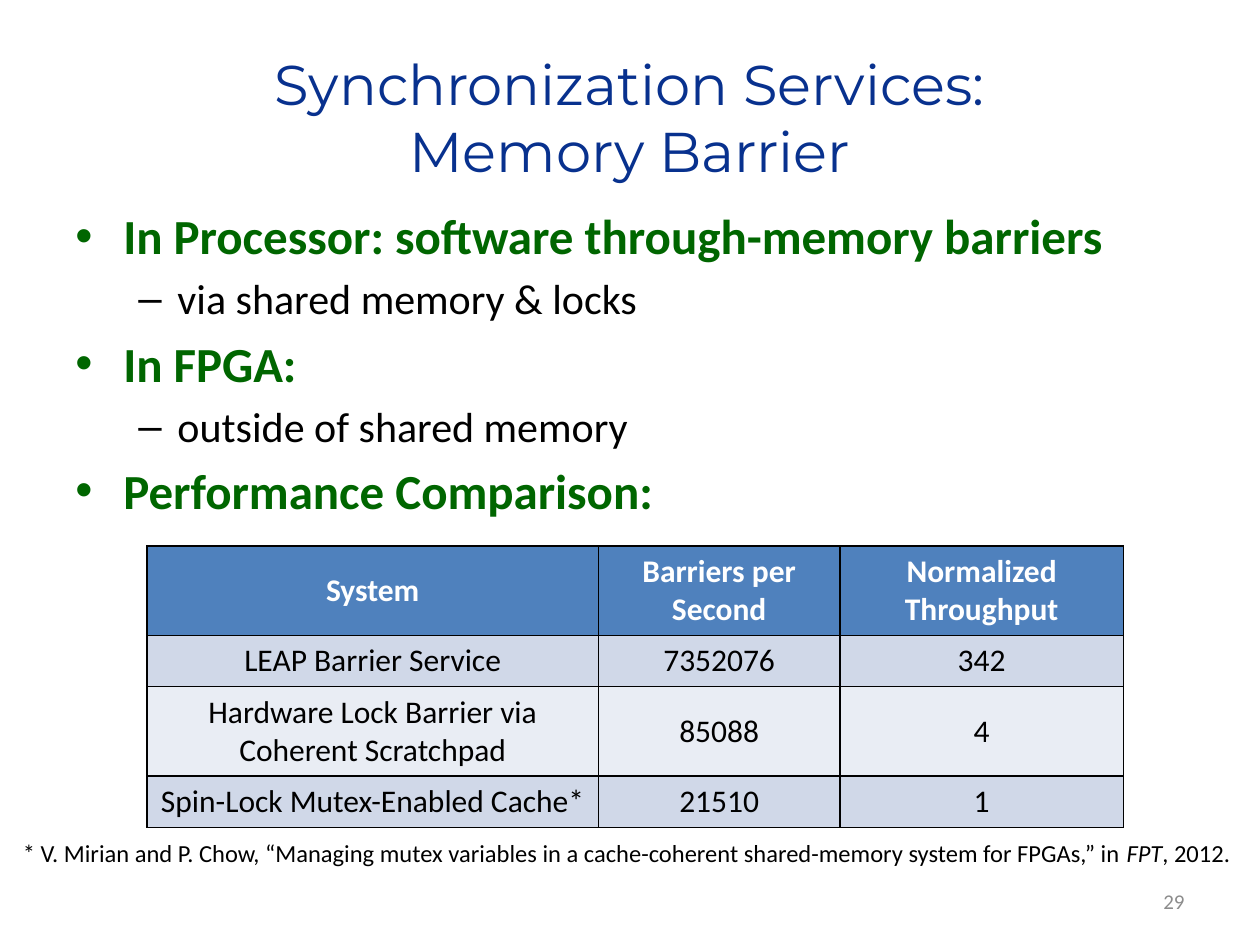
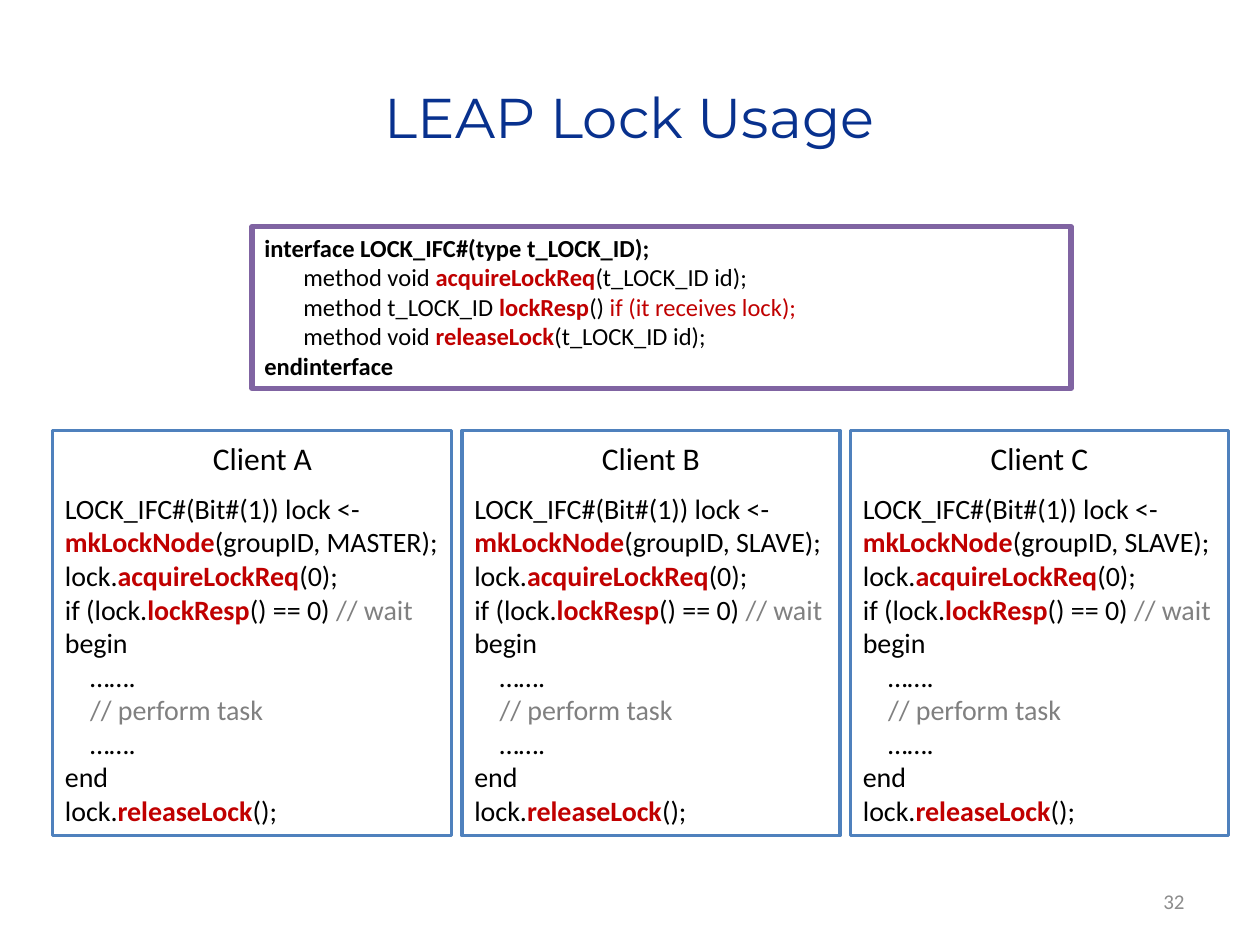
from pptx import Presentation
from pptx.dml.color import RGBColor
from pptx.enum.shapes import MSO_SHAPE as SHAPE
from pptx.enum.text import MSO_ANCHOR as ANCHOR, PP_ALIGN as ALIGN
from pptx.oxml.ns import qn
from pptx.util import Inches, Pt
from lxml.etree import SubElement

# The 10 x 7.5 inch slide is a grid of 120 columns by 90 rows
CELL = Inches(1) / 12

COLORS = {
    "title": "08318E", "topic": "006600", "text": "000000", "number": "8C8C8C",
    "call": "C00000", "comment": "808080", "white": "FFFFFF",
    "header": "4F81BD", "odd_row": "D0D8E8", "even_row": "E9EDF4",
    "interface": "8064A2", "client": "4F81BD",
}

# Run styles: colour, bold, italic
RUN_STYLES = {
    "plain": ("text", False, False),
    "strong": ("text", True, False),
    "italic": ("text", False, True),
    "call": ("call", True, False),
    "condition": ("call", False, False),
    "comment": ("comment", False, False),
}

# Outline levels: bullet, left indent, hanging indent, size, colour, bold
LEVELS = [
    ("•", 0.38, 0.38, 28, "topic", True),
    ("–", 0.81, 0.31, 24, "text", False),
]

OUTLINE = [
    (0, "In Processor: software through-memory barriers"),
    (1, "via shared memory & locks"),
    (0, "In FPGA:"),
    (1, "outside of shared memory"),
    (0, "Performance Comparison:"),
]

BARRIER_RESULTS = [
    ("System", "Barriers per Second", "Normalized Throughput"),
    ("LEAP Barrier Service", "7352076", "342"),
    ("Hardware Lock Barrier via\nCoherent Scratchpad", "85088", "4"),
    ("Spin-Lock Mutex-Enabled Cache*", "21510", "1"),
]

CITATION = [(0, [
    "* V. Mirian and P. Chow, “Managing mutex variables in a "
    "cache-coherent shared-memory system for FPGAs,” in ",
    ("FPT", "italic"), ", 2012."])]

# Code lines: indent in inches, then runs
LOCK_INTERFACE = [
    (0, [("interface LOCK_IFC#(type t_LOCK_ID);", "strong")]),
    (0.31, ["method void ", ("acquireLockReq", "call"), "(t_LOCK_ID id);"]),
    (0.31, ["method t_LOCK_ID ", ("lockResp", "call"), "() ",
            ("if (it receives lock);", "condition")]),
    (0.31, ["method void ", ("releaseLock", "call"), "(t_LOCK_ID id);"]),
    (0, [("endinterface", "strong")]),
]

# Client name, role, frame width, label width
CLIENTS = [
    ("Client A", "MASTER", 38, 40),
    ("Client B", "SLAVE", 36, 36),
    ("Client C", "SLAVE", 36, 36),
]


def client_code(role):
    return [
        (0, ["LOCK_IFC#(Bit#(1)) lock <-"]),
        (0, [("mkLockNode", "call"), f"(groupID, {role});"]),
        (0, ["lock.", ("acquireLockReq", "call"), "(0);"]),
        (0, ["if (lock.", ("lockResp", "call"), "() == 0) ", ("// wait", "comment")]),
        (0, ["begin"]),
        (0.2, ["……."]),
        (0.2, [("// perform task", "comment")]),
        (0.2, ["……."]),
        (0, ["end"]),
        (0, ["lock.", ("releaseLock", "call"), "();"]),
    ]


def grid(*lengths):
    return [round(length * CELL) for length in lengths]


def rgb(name):
    return RGBColor.from_string(COLORS[name])


def style(font, size, color, bold=False, face="Calibri"):
    font.name, font.size, font.bold = face, Pt(size), bold
    font.color.rgb = rgb(color)


def text_frame(slide, box, anchor=ANCHOR.TOP):
    frame = slide.shapes.add_textbox(*grid(*box)).text_frame
    frame.word_wrap = True
    frame.vertical_anchor = anchor
    return frame


def add_label(slide, box, text, size, color="text", align=ALIGN.CENTER,
              anchor=ANCHOR.MIDDLE, face="Calibri"):
    label = text_frame(slide, box, anchor).paragraphs[0]
    label.text = text
    label.alignment = align
    style(label.font, size, color, face=face)


def next_paragraph(frame, index):
    return frame.add_paragraph() if index else frame.paragraphs[0]


def write_lines(frame, lines, size):
    """Write lines of (indent, runs); a run is a plain string or (text, style)."""
    for index, (indent, runs) in enumerate(lines):
        line = next_paragraph(frame, index)
        line.alignment = ALIGN.LEFT
        line._p.get_or_add_pPr().set("marL", str(Inches(indent)))
        style(line.font, size, "text")
        for part in runs:
            text, look = (part, "plain") if isinstance(part, str) else part
            run = line.add_run()
            run.text = text
            color, run.font.bold, run.font.italic = RUN_STYLES[look]
            run.font.color.rgb = rgb(color)


def add_frame(slide, box, line_color, line_width, fill=None):
    frame = slide.shapes.add_shape(SHAPE.RECTANGLE, *grid(*box))
    frame.shadow.inherit = False
    if fill:
        frame.fill.solid()
        frame.fill.fore_color.rgb = rgb(fill)
    else:
        frame.fill.background()
    frame.line.color.rgb = rgb(line_color)
    frame.line.width = Pt(line_width)
    return frame


def add_outline(slide, box, items):
    frame = text_frame(slide, box)
    for index, (level, text) in enumerate(items):
        bullet, left, hang, size, color, bold = LEVELS[level]
        item = next_paragraph(frame, index)
        item.text = text
        item.level = level
        props = item._p.get_or_add_pPr()
        props.set("marL", str(Inches(left)))
        props.set("indent", str(-Inches(hang)))
        SubElement(props, qn("a:buFont"), typeface="Arial")
        SubElement(props, qn("a:buChar"), char=bullet)
        item.space_before = Pt(size * 0.2)
        style(item.font, size, color, bold)


def border_cell(cell):
    props = cell._tc.get_or_add_tcPr()
    for index, side in enumerate(("lnL", "lnR", "lnT", "lnB")):
        line = props.makeelement(qn(f"a:{side}"), {"w": str(Pt(1))})
        fill = SubElement(line, qn("a:solidFill"))
        SubElement(fill, qn("a:srgbClr"), val=COLORS["text"])
        props.insert(index, line)


def add_results_table(slide, left, top, widths, heights, rows):
    box = grid(left, top, sum(widths), sum(heights))
    table = slide.shapes.add_table(len(rows), len(widths), *box).table
    for column, width in zip(table.columns, grid(*widths)):
        column.width = width
    for row, height in zip(table.rows, grid(*heights)):
        row.height = height
    for r, values in enumerate(rows):
        band = "header" if r == 0 else "odd_row" if r % 2 else "even_row"
        for c, value in enumerate(values):
            cell = table.cell(r, c)
            cell.text = value
            cell.vertical_anchor = ANCHOR.MIDDLE
            cell.fill.solid()
            cell.fill.fore_color.rgb = rgb(band)
            border_cell(cell)
            for line in cell.text_frame.paragraphs:
                line.alignment = ALIGN.CENTER
                style(line.font, 18, "text" if r else "white", bold=r == 0)


def add_client(slide, left, name, role, width, label_width):
    add_frame(slide, (left, 41, width, 38.6), "client", 2, "white")
    add_label(slide, (left, 41.2, label_width, 5), name, 18, anchor=ANCHOR.TOP)
    code = text_frame(slide, (left, 46.2, width + 1, 33.5))
    write_lines(code, client_code(role), 16)


def add_slide(deck, title, number):
    slide = deck.slides.add_slide(deck.slide_layouts[6])
    add_label(slide, (6, 3.6, 108, 15), title, 32, "title", face="Montserrat")
    add_label(slide, (86, 83.4, 28, 4.8), number, 12, "number", ALIGN.RIGHT)
    return slide


def add_barrier_slide(deck):
    slide = add_slide(deck, "Synchronization Services:\vMemory Barrier", "29")
    add_outline(slide, (6, 19, 112, 33), OUTLINE)
    add_results_table(slide, 14, 52, (43, 23, 27), (8.5, 4.9, 8.5, 4.9),
                      BARRIER_RESULTS)
    write_lines(text_frame(slide, (1, 79.2, 118, 4)), CITATION, 14)


def add_lock_slide(deck):
    slide = add_slide(deck, "LEAP Lock Usage", "32")
    interface = add_frame(slide, (24, 21.6, 78, 15.4), "interface", 3).text_frame
    interface.word_wrap = True
    interface.vertical_anchor = ANCHOR.TOP
    write_lines(interface, LOCK_INTERFACE, 14)
    left = 5
    for name, role, width, label_width in CLIENTS:
        add_client(slide, left, name, role, width, label_width)
        left += width + 1


def main():
    deck = Presentation()
    deck.slide_width, deck.slide_height = grid(120, 90)
    add_barrier_slide(deck)
    add_lock_slide(deck)
    deck.save("out.pptx")


if __name__ == "__main__":
    main()
